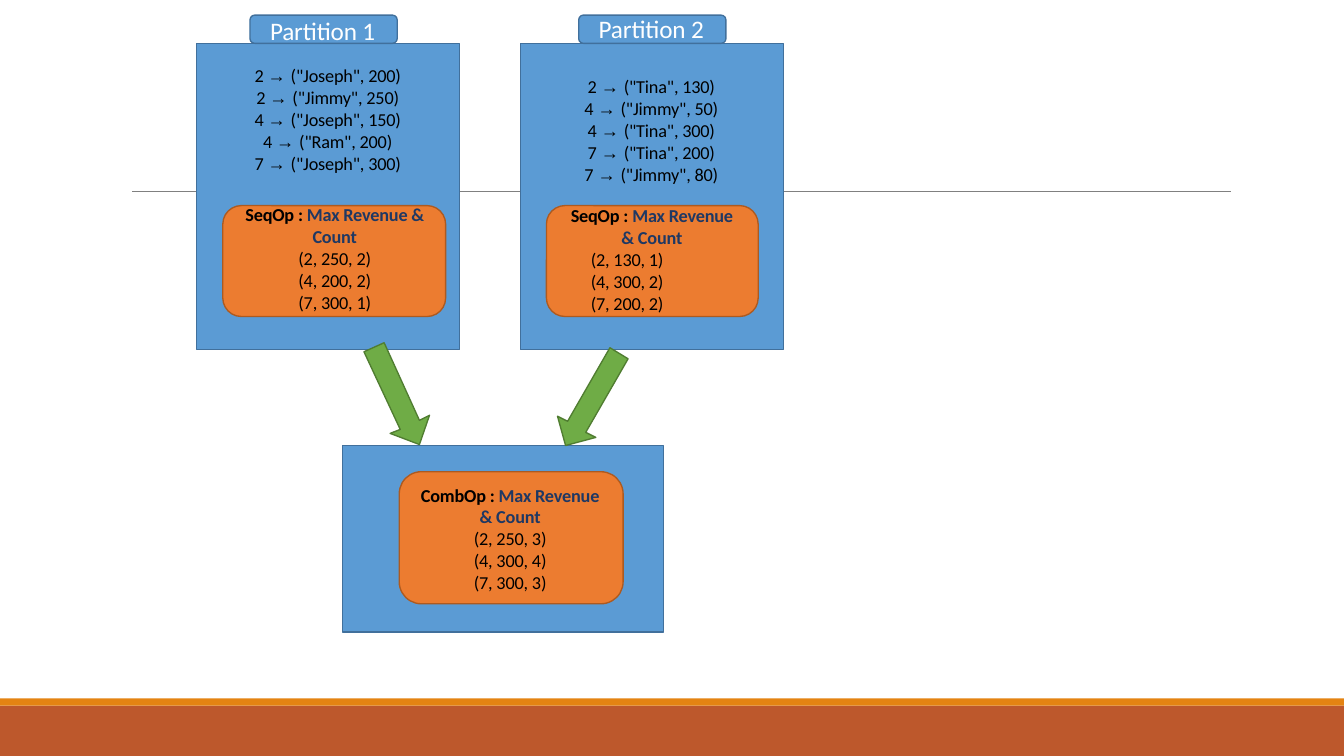
from pptx import Presentation
from pptx.dml.color import RGBColor
from pptx.enum.shapes import MSO_SHAPE as SHAPE, MSO_CONNECTOR as CONN
from pptx.enum.text import MSO_ANCHOR as ANCHOR, PP_ALIGN as ALIGN
from pptx.oxml.ns import qn
from pptx.util import Inches, Pt
from lxml import etree

COLORS = {
    "brick": "BD582C", "amber": "E48312", "rule": "808080",
    "blue": "5B9BD4", "blue_edge": "41709C",
    "orange": "EC7C30", "orange_edge": "AD5A20",
    "green": "6FAC46", "green_edge": "507D31",
    "black": "000000", "navy": "1F3863", "white": "FFFFFF",
}


class Diagram:
    """Draws styled elements on one slide; lengths are given in inches."""

    def __init__(self, s, font="Calibri", size=13, edge=0.96):
        self.s, self.font, self.size, self.edge = s, font, size, edge

    def rgb(self, name):
        return RGBColor.from_string(COLORS[name])

    def paint(self, sp, fill, edge=None):
        sp.shadow.inherit = False
        sp.fill.solid()
        sp.fill.fore_color.rgb = self.rgb(fill)
        if edge:
            sp.line.color.rgb = self.rgb(edge)
            sp.line.width = Pt(self.edge)
        else:
            sp.line.fill.background()

    def box(self, kind, at, fill, edge=None):
        sp = self.s.shapes.add_shape(kind, *map(Inches, at))
        self.paint(sp, fill, edge)

    def rule(self, x1, x2, y):
        sp = self.s.shapes.add_connector(CONN.STRAIGHT, *map(Inches, (x1, y, x2, y)))
        sp.line.color.rgb = self.rgb("rule")
        sp.line.width = Pt(0.5)
        etree.SubElement(sp._element.spPr, qn("a:effectLst"))

    def arrow(self, points):
        pts = [(Inches(x), Inches(y)) for x, y in points]
        fb = self.s.shapes.build_freeform(*pts[0])
        fb.add_line_segments(pts[1:], close=True)
        self.paint(fb.convert_to_shape(), "green", "green_edge")

    def run(self, p, text, color, size, bold=False, font=None):
        r = p.add_run()
        r.text = text
        r.font.name = font or self.font
        r.font.size = Pt(size)
        r.font.bold = bold
        r.font.color.rgb = self.rgb(color)
        r._r.get_or_add_rPr().set("spc", "-10")

    def text(self, at, paragraphs, size=None, indents=()):
        tf = self.s.shapes.add_textbox(*map(Inches, at)).text_frame
        tf.word_wrap = True
        tf.vertical_anchor = ANCHOR.TOP
        tf.margin_left = tf.margin_right = tf.margin_top = tf.margin_bottom = 0
        for i, runs in enumerate(paragraphs):
            p = tf.paragraphs[0] if i == 0 else tf.add_paragraph()
            p.alignment = ALIGN.CENTER
            if i < len(indents):
                p._p.get_or_add_pPr().set("marL", str(Inches(indents[i])))
            for text, color, *style in runs:
                self.run(p, text, color, size or self.size, *style)

    def partition(self, x, tab_x, title, title_at, rows, rows_at):
        self.box(SHAPE.RECTANGLE, (x, 0.43, 2.61, 3.04), "blue", "blue_edge")
        self.box(SHAPE.ROUNDED_RECTANGLE, (tab_x, 0.15, 1.46, 0.28), "blue", "blue_edge")
        self.text(title_at, [[(title, "white")]], size=18)
        self.text(rows_at, [
            [(f"{key} ", "black"), ("→ ", "black", False, "Arial"), (value, "black")]
            for key, value in rows])

    def operation(self, at, text_at, name, labels, results, indents=()):
        self.box(SHAPE.ROUNDED_RECTANGLE, at, "orange", "orange_edge")
        heads = [[(label, "navy", True)] for label in labels]
        heads[0].insert(0, (f"{name} : ", "black", True))
        self.text(text_at, heads + [[(row, "black")] for row in results], indents=indents)


def main():
    prs = Presentation()
    prs.slide_width, prs.slide_height = Inches(13.33), Inches(7.5)
    d = Diagram(prs.slides.add_slide(prs.slide_layouts[6]))

    d.box(SHAPE.RECTANGLE, (0, 7, 13.33, 0.5), "brick")
    d.box(SHAPE.RECTANGLE, (0, 6.93, 13.33, 0.07), "amber")
    d.rule(1.31, 12.21, 1.9)

    d.partition(
        1.95, 2.48, "Partition 1", (2.6, 0.15, 1.2, 0.31),
        [(2, '("Joseph", 200)'), (2, '("Jimmy", 250)'), (4, '("Joseph", 150)'),
         (4, '("Ram", 200)'), (7, '("Joseph", 300)')], (2.4, 0.64, 1.7, 1.1))
    d.partition(
        5.16, 5.74, "Partition 2", (5.86, 0.13, 1.2, 0.31),
        [(2, '("Tina", 130)'), (4, '("Jimmy", 50)'), (4, '("Tina", 300)'),
         (7, '("Tina", 200)'), (7, '("Jimmy", 80)')], (5.61, 0.75, 1.7, 1.1))
    d.box(SHAPE.RECTANGLE, (3.4, 4.42, 3.18, 1.85), "blue", "blue_edge")

    d.operation((2.21, 2.04, 2.21, 1.1), (2.4, 2.02, 1.84, 1.1), "SeqOp",
                ["Max Revenue & Count"],
                ["(2, 250, 2)", "(4, 200, 2)", "(7, 300, 1)"])
    d.operation((5.42, 2.04, 2.1, 1.1), (5.1, 2.03, 2.24, 1.1), "SeqOp",
                ["Max Revenue & Count"],
                ["(2, 130, 1)", "(4, 300, 2)", "(7, 200, 2)"], indents=[0.49])
    d.operation((3.96, 4.68, 2.22, 1.31), (4.06, 4.8, 2, 1.1), "CombOp",
                ["Max Revenue", "& Count"],
                ["(2, 250, 3)", "(4, 300, 4)", "(7, 300, 3)"])

    d.arrow([(3.81, 3.4), (3.61, 3.49), (3.97, 4.26), (3.87, 4.3),
             (4.16, 4.41), (4.26, 4.12), (4.16, 4.17)])
    d.arrow([(6.05, 3.45), (5.63, 4.18), (5.53, 4.13), (5.61, 4.42),
             (5.91, 4.34), (5.81, 4.29), (6.23, 3.56)])

    prs.save("out.pptx")


if __name__ == "__main__":
    main()
